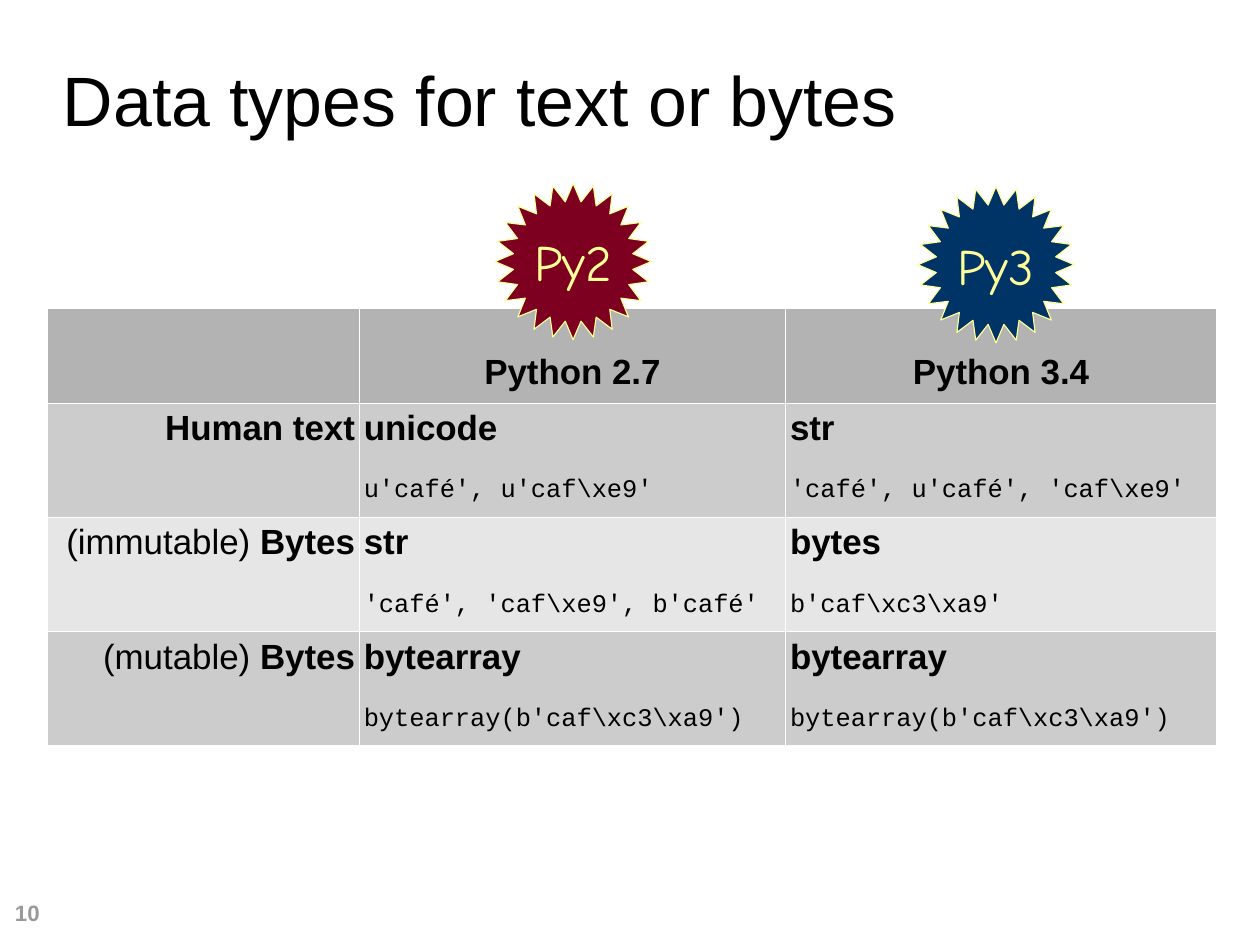
from lxml import etree
from pptx import Presentation
from pptx.dml.color import RGBColor
from pptx.enum import shapes, text
from pptx.oxml.ns import qn
from pptx.util import Pt

BLACK = RGBColor(0, 0, 0)
GRAY = RGBColor(0x99, 0x99, 0x99)
WHITE = RGBColor(0xFF, 0xFF, 0xFF)
HEAD = RGBColor(0xB3, 0xB3, 0xB3)
BANDS = RGBColor(0xCC, 0xCC, 0xCC), RGBColor(0xE6, 0xE6, 0xE6)
RED = RGBColor(0x7E, 0, 0x21)
BLUE = RGBColor(0, 0x33, 0x66)
YELLOW = RGBColor(0xFF, 0xFF, 0x99)

BODY = {"size": Pt(22), "name": "Arial"}
BOLD = {**BODY, "bold": True}
PLAIN = {**BODY, "bold": False}
CODE = {"size": Pt(16), "name": "Courier New", "bold": False}
LEFT, CENTER, RIGHT = text.PP_ALIGN.LEFT, text.PP_ALIGN.CENTER, text.PP_ALIGN.RIGHT
TOP, MIDDLE, BOTTOM = text.MSO_ANCHOR.TOP, text.MSO_ANCHOR.MIDDLE, text.MSO_ANCHOR.BOTTOM

COLUMNS = 196.5, 268.5, 271.5
HEADINGS = "", "Python 2.7", "Python 3.4"
ROWS = [
    ([("Human text", BOLD)],
     ("unicode", r"u'café', u'caf\xe9'"),
     ("str", r"'café', u'café', 'caf\xe9'")),
    ([("(immutable)", PLAIN), (" Bytes", BOLD)],
     ("str", r"'café', 'caf\xe9', b'café'"),
     ("bytes", r"b'caf\xc3\xa9'")),
    ([("(mutable) ", PLAIN), ("Bytes", BOLD)],
     ("bytearray", r"bytearray(b'caf\xc3\xa9')"),
     ("bytearray", r"bytearray(b'caf\xc3\xa9')")),
]


def apply(obj, values):
    """Set each attribute of obj from a dict."""
    for name, value in values.items():
        setattr(obj, name, value)


def write(p, runs, align, color=BLACK):
    """Fill a paragraph with (text, font values) runs."""
    p.alignment = align
    for words, font in runs:
        r = p.add_run()
        r.text = words
        apply(r.font, font)
        r.font.color.rgb = color


def label(s, box, words, font, color, anchor):
    """Place a one-line text box without margins."""
    tf = s.shapes.add_textbox(*map(Pt, box)).text_frame
    apply(tf, {"word_wrap": True, "vertical_anchor": anchor, "margin_left": 0,
               "margin_top": 0, "margin_right": 0, "margin_bottom": 0})
    write(tf.paragraphs[0], [(words, font)], LEFT, color)


def style_cell(cell, fill, anchor=TOP, bottom=3.6):
    """Set margins, white borders and fill of a table cell."""
    apply(cell, {"margin_left": Pt(2.83), "margin_right": Pt(2.83), "margin_top": Pt(3.6),
                 "margin_bottom": Pt(bottom), "vertical_anchor": anchor})
    for side in ("a:lnL", "a:lnR", "a:lnT", "a:lnB"):
        ln = etree.SubElement(cell._tc.get_or_add_tcPr(), qn(side), w=str(Pt(0.57)))
        solid = etree.SubElement(ln, qn("a:solidFill"))
        etree.SubElement(solid, qn("a:srgbClr"), val=str(WHITE))
    cell.fill.solid()
    cell.fill.fore_color.rgb = fill


def type_table(s, box):
    """Place the table of data types in Python 2.7 and 3.4."""
    x, y, w, h = box
    tb = s.shapes.add_table(len(ROWS) + 1, len(COLUMNS), Pt(x), Pt(y), Pt(w), Pt(h)).table
    head_height = 59.7
    row_height = (h - head_height) / len(ROWS)
    for i, row in enumerate(tb.rows):
        row.height = Pt(row_height if i else head_height)
    for column, width in zip(tb.columns, COLUMNS):
        column.width = Pt(width)
    for c, heading in enumerate(HEADINGS):
        cell = tb.cell(0, c)
        style_cell(cell, HEAD, BOTTOM, 7)
        if heading:
            write(cell.text_frame.paragraphs[0], [(heading, BOLD)], CENTER)
    for i, (kind, *types) in enumerate(ROWS):
        cells = [tb.cell(i + 1, c) for c in range(len(COLUMNS))]
        for cell in cells:
            style_cell(cell, BANDS[i % 2])
        write(cells[0].text_frame.paragraphs[0], kind, RIGHT)
        for cell, (name, code) in zip(cells[1:], types):
            tf = cell.text_frame
            write(tf.paragraphs[0], [(name, BOLD)], LEFT)
            p = tf.add_paragraph()
            p.space_before = Pt(18)
            write(p, [(code, CODE)], LEFT)


def badge(s, box, words, fill):
    """Place a star badge with a version name."""
    sp = s.shapes.add_shape(shapes.MSO_SHAPE.STAR_24_POINT, *map(Pt, box))
    sp.adjustments[0] = 0.385
    sp.shadow.inherit = False
    sp.fill.solid()
    sp.fill.fore_color.rgb = fill
    sp.line.color.rgb = YELLOW
    sp.line.width = Pt(0)
    tf = sp.text_frame
    apply(tf, {"word_wrap": False, "vertical_anchor": MIDDLE})
    write(tf.paragraphs[0], [(words, {"size": Pt(32), "name": "Comic Neue"})], CENTER, YELLOW)


def main():
    """Build the slide and save it."""
    prs = Presentation()
    apply(prs, {"slide_width": Pt(793.75), "slide_height": Pt(595.25)})
    s = prs.slides.add_slide(prs.slide_layouts[6])
    label(s, (39.6, 23.8, 714, 77), "Data types for text or bytes",
          {"size": Pt(44), "name": "Arial"}, BLACK, MIDDLE)
    type_table(s, (29.9, 194.4, sum(COLUMNS), 275.4))
    badge(s, (311.8, 115.5, 98.5, 98.5), "Py2", RED)
    badge(s, (578.2, 117.5, 98.5, 98.5), "Py3", BLUE)
    label(s, (9.4, 542, 185, 41), "10", {"size": Pt(14), "name": "Arial", "bold": True},
          GRAY, BOTTOM)
    prs.save("out.pptx")


if __name__ == "__main__":
    main()
